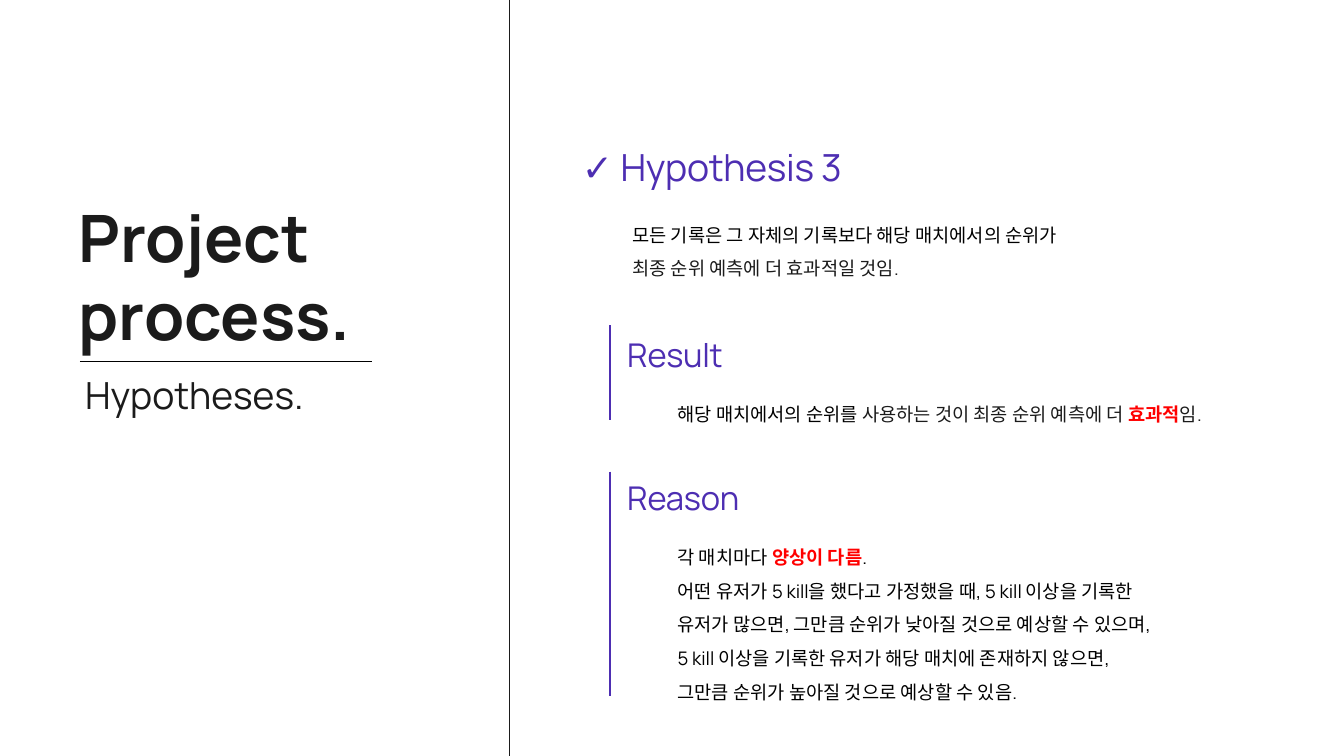
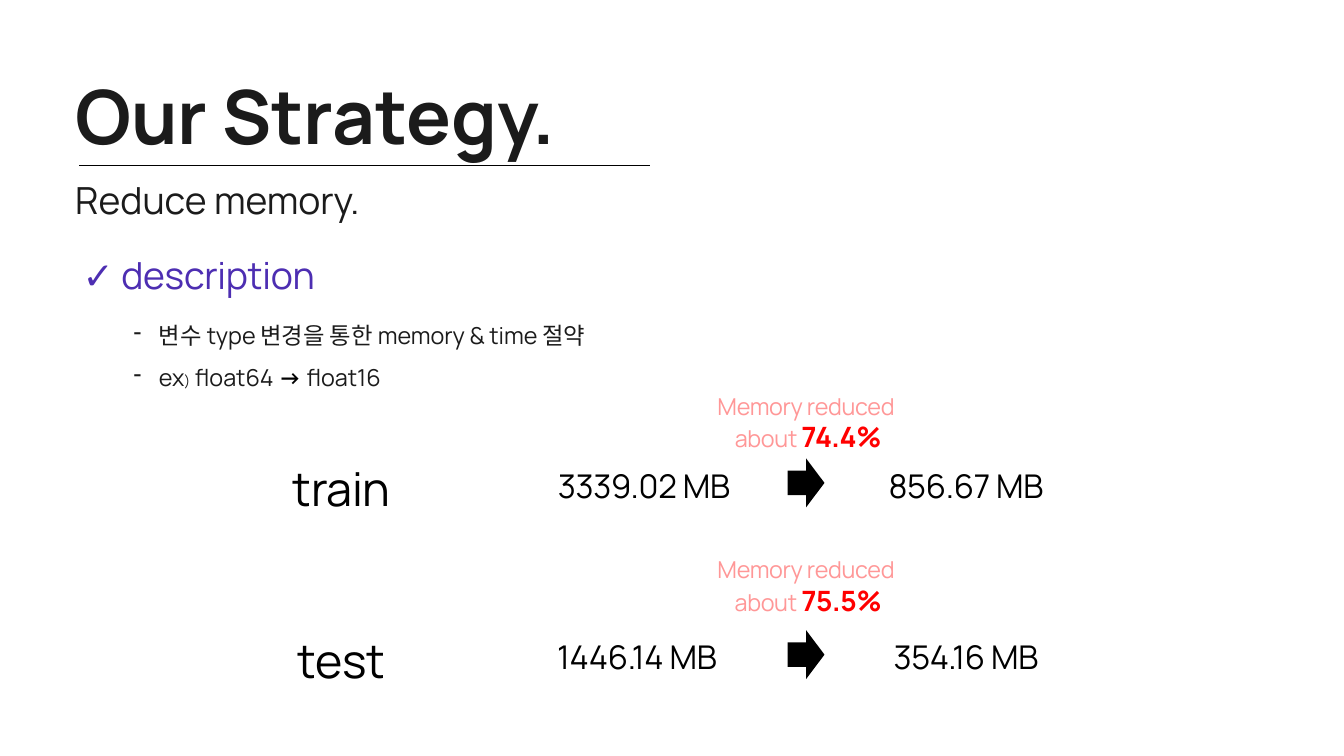
from dataclasses import dataclass, field

import pptx
import pptx.dml.color
import pptx.enum.shapes
import pptx.enum.text
import pptx.oxml.ns
import pptx.slide
import pptx.util
from lxml import etree

Pt = pptx.util.Pt
RGB = pptx.dml.color.RGBColor


@dataclass(frozen=True)
class Theme:
    """Colours, type sizes and line weights shared by the slides."""
    font: str = "Manrope"
    white: str = "FFFFFF"
    black: str = "000000"
    ink: str = "1B1B1B"
    accent: str = "4D2EB2"
    alert: str = "FF0000"
    soft: str = "FF9797"
    cover: int = 80
    title: int = 70
    label: int = 50
    heading: int = 40
    section: int = 35
    figure: int = 30
    item: int = 25
    body: int = 20
    small: int = 15
    thin: float = 0.75
    bar: float = 2
    tracking: str = "-30"


T = Theme()


@dataclass(frozen=True)
class Run:
    """Text with one format."""
    text: str
    size: int = T.body
    color: str = T.ink
    bold: bool = False
    tight: bool = False


@dataclass(frozen=True)
class Layout:
    """Paragraph and frame settings of a text box."""
    spacing: float | pptx.util.Length | None = None
    centered: bool = False
    padded: bool = False
    bullet: bool = False
    wrap: bool = True


PLAIN = Layout()
BODY = Layout(spacing=1.5)
ITEMS = Layout(spacing=1.5, bullet=True)
HEADING = Layout(spacing=Pt(36.4))
SUBTITLE = Layout(spacing=Pt(28.4))
LABEL = Layout(centered=True, padded=True)
NOTE = Layout(centered=True, padded=True, wrap=False)


@dataclass(frozen=True)
class Section:
    """A headed passage beside an accent bar."""
    heading: str
    top: float
    bar_top: float
    bar_bottom: float
    height: float
    lines: list[list[Run]] = field(default_factory=list)


@dataclass(frozen=True)
class Saving:
    """Memory use of one data set before and after."""
    name: str
    before: str
    after: str
    share: str
    top: float
    note_top: float
    before_width: float


def add_run(p, run: Run) -> None:
    """Append a formatted run to a paragraph."""
    r = p.add_run()
    r.text = run.text
    r.font.name = T.font
    r.font.size = Pt(run.size)
    r.font.bold = run.bold
    r.font.color.rgb = RGB.from_string(run.color)
    if run.tight:
        r.font._element.set("spc", T.tracking)


def add_bullet(p, indent: float = 27) -> None:
    """Give a paragraph a hanging dash."""
    pPr = p._p.get_or_add_pPr()
    pPr.set("marL", str(Pt(indent)))
    pPr.set("indent", str(-Pt(indent)))
    etree.SubElement(pPr, pptx.oxml.ns.qn("a:buChar")).set("char", "-")


def add_text(s: pptx.slide.Slide, x: float, y: float, w: float, h: float,
             lines: list[list[Run]], layout: Layout = PLAIN) -> None:
    """Add a text box with one paragraph per line."""
    tf = s.shapes.add_textbox(Pt(x), Pt(y), Pt(w), Pt(h)).text_frame
    tf.word_wrap = layout.wrap
    tf.auto_size = pptx.enum.text.MSO_AUTO_SIZE.SHAPE_TO_FIT_TEXT
    if not layout.padded:
        tf.margin_left = tf.margin_right = tf.margin_top = tf.margin_bottom = 0
    for i, runs in enumerate(lines):
        p = tf.add_paragraph() if i else tf.paragraphs[0]
        if layout.bullet:
            add_bullet(p)
        if layout.spacing is not None:
            p.line_spacing = layout.spacing
        if layout.centered:
            p.alignment = pptx.enum.text.PP_ALIGN.CENTER
        for run in runs:
            add_run(p, run)


def add_line(s: pptx.slide.Slide, x1: float, y1: float, x2: float, y2: float,
             color: str = T.black, width: float = T.thin) -> None:
    """Add a straight line without a shadow."""
    c = s.shapes.add_connector(pptx.enum.shapes.MSO_CONNECTOR.STRAIGHT,
                               Pt(x1), Pt(y1), Pt(x2), Pt(y2))
    c.line.color.rgb = RGB.from_string(color)
    c.line.width = Pt(width)
    etree.SubElement(c._element.spPr, pptx.oxml.ns.qn("a:effectLst"))


def add_arrow(s: pptx.slide.Slide, x: float, y: float) -> None:
    """Add a solid arrow pointing right."""
    sp = s.shapes.add_shape(pptx.enum.shapes.MSO_SHAPE.RIGHT_ARROW,
                            Pt(x), Pt(y), Pt(39.6), Pt(52.6))
    sp.shadow.inherit = False
    sp.fill.solid()
    sp.fill.fore_color.rgb = RGB.from_string(T.black)
    sp.line.fill.background()


def add_check_heading(s: pptx.slide.Slide, x: float, y: float, text: str) -> None:
    """Add an accent heading led by a check mark."""
    add_text(s, x, y, 672, 39.6,
             [[Run("✓ ", T.heading, T.accent),
               Run(text, T.heading, T.accent, tight=True)]], HEADING)


def add_section(s: pptx.slide.Slide, section: Section) -> None:
    """Draw a section with its accent bar."""
    heading = Run(section.heading, T.section, T.accent, tight=True)
    add_text(s, 672, section.top, 642, 38, [[heading]], HEADING)
    add_text(s, 726, section.top + 55.4, 618, section.height, section.lines, BODY)
    add_line(s, 653.8, section.bar_top, 653.8, section.bar_bottom, T.accent, T.bar)


def add_saving(s: pptx.slide.Slide, row: Saving) -> None:
    """Draw one before-and-after row with its note."""
    value_top = row.top + 6.2
    cells = [(282, row.top, 168, 67.7, row.name, T.label),
             (573, value_top, row.before_width, 49.7, row.before, T.section),
             (936, value_top, 198, 49.7, row.after, T.section)]
    for x, y, w, h, text, size in cells:
        add_text(s, x, y, w, h, [[Run(text, size, T.black, tight=True)]], LABEL)
    add_arrow(s, 843.8, row.top + 2.1)
    add_text(s, 746.6, row.note_top, 234, 74,
             [[Run("Memory reduced", T.item, T.soft, tight=True)],
              [Run(" about ", T.item, T.soft, tight=True),
               Run(row.share, T.figure, T.alert, True, True)]], NOTE)


def new_slide(prs) -> pptx.slide.Slide:
    """Add a blank slide with a white background."""
    s = prs.slides.add_slide(prs.slide_layouts[6])
    s.background.fill.solid()
    s.background.fill.fore_color.rgb = RGB.from_string(T.white)
    return s


def build_hypothesis(prs) -> None:
    """Build the hypothesis slide."""
    s = new_slide(prs)
    add_text(s, 84, 211, 339, 170,
             [[Run(word, T.title, bold=True)] for word in ("Project", "process.")])
    add_line(s, 85.5, 387.2, 398.7, 387.2)
    add_text(s, 84, 414.7, 267, 40.3, [[Run("Hypotheses.", T.heading)]],
             Layout(spacing=SUBTITLE.spacing, padded=True))
    add_line(s, 545.8, 810, 545.8, 0, T.ink)

    add_check_heading(s, 623.5, 166.3, "Hypothesis 3")
    add_text(s, 677.5, 227.5, 576, 70,
             [[Run("모든 기록은 그 자체의 기록보다 해당 매치에서의 순위가", color=T.black)],
              [Run("최종 순위 예측에 더 효과적일 것임.")]], BODY)

    result = [[Run("해당 매치에서의 순위를", color=T.black),
               Run(" 사용하는 것이 최종 순위 예측에 더 "),
               Run("효과적", color=T.alert, bold=True), Run("임.")]]
    explanation = ["어떤 유저가 5 kill을 했다고 가정했을 때, 5 kill 이상을 기록한",
                   "유저가 많으면, 그만큼 순위가 낮아질 것으로 예상할 수 있으며,",
                   "5 kill 이상을 기록한 유저가 해당 매치에 존재하지 않으면,",
                   "그만큼 순위가 높아질 것으로 예상할 수 있음."]
    reason = [[Run("각 매치마다 ", color=T.black),
               Run("양상이 다름", color=T.alert, bold=True),
               Run(".", color=T.black)]]
    reason += [[Run(line, color=T.black)] for line in explanation]
    for section in (Section("Result", 364.3, 348.5, 450, 33, result),
                    Section("Reason", 517.7, 505.4, 745.2, 178.6, reason)):
        add_section(s, section)


def build_strategy(prs) -> None:
    """Build the memory strategy slide."""
    s = new_slide(prs)
    add_text(s, 80.6, 75, 1002, 97, [[Run("Our Strategy.", T.cover, bold=True)]])
    add_line(s, 85, 177.1, 696.2, 177.1)
    add_text(s, 80.6, 209.5, 832, 33, [[Run("Reduce memory.", T.heading)]], SUBTITLE)

    add_check_heading(s, 88.6, 281.5, "description")
    add_text(s, 143.3, 329, 576, 87,
             [[Run("변수 type 변경을 통한 memory & time 절약", T.item)],
              [Run("ex", T.item), Run(")", T.small), Run(" float64 ", T.item),
               Run("→", T.item, T.black, True), Run(" float16", T.item)]], ITEMS)

    for row in (Saving("train", "3339.02 MB", "856.67 MB", "74.4%", 489, 416.2, 234),
                Saving("test", "1446.14 MB", "354.16 MB", "75.5%", 673, 591.8, 219)):
        add_saving(s, row)


def main() -> None:
    """Build and save the presentation."""
    prs = pptx.Presentation()
    prs.slide_width, prs.slide_height = Pt(1440), Pt(810)
    build_hypothesis(prs)
    build_strategy(prs)
    prs.save("out.pptx")


if __name__ == "__main__":
    main()
